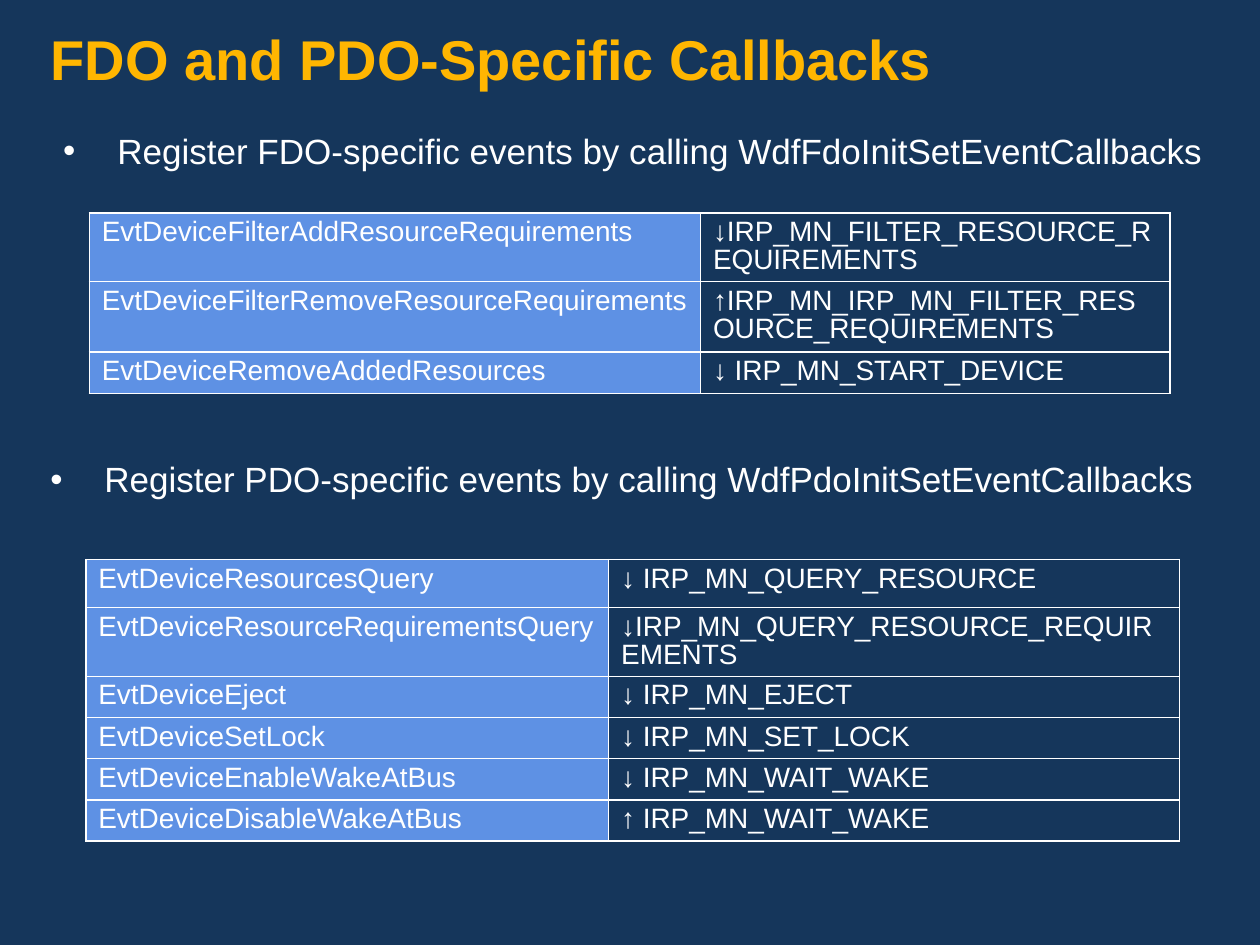
"""Build the slide on FDO and PDO-specific driver callbacks."""
from dataclasses import dataclass

from lxml import etree
from pptx import Presentation
from pptx.dml.color import RGBColor
from pptx.enum.text import MSO_ANCHOR, MSO_AUTO_SIZE, PP_ALIGN
from pptx.oxml.ns import qn
from pptx.util import Cm, Pt

TOP = MSO_ANCHOR.TOP
LEFT = PP_ALIGN.LEFT
NO_AUTOFIT = MSO_AUTO_SIZE.NONE

NAVY = "15365B"
AMBER = "FFB601"
BLUE = "5E91E4"
WHITE = "FFFFFF"
FONT = "Arial"
TWO_CONTENT_LAYOUT = 3
BULLET_INDENT = Cm(1.09)


@dataclass
class Box:
    left: float
    top: float
    width: float
    height: float


@dataclass
class CallbackTable:
    left: float
    top: float
    column_widths: list[float]
    row_heights: list[float]
    rows: list[tuple[str, str]]


@dataclass
class Section:
    heading: str
    heading_box: Box
    table: CallbackTable


SECTIONS = [
    Section(
        "Register FDO-specific events by calling WdfFdoInitSetEventCallbacks",
        Box(1.02, 2.57, 23.83, 1.02),
        CallbackTable(1.8, 4.29, [12.32, 9.47], [1.39, 1.42, 0.83], [
            ("EvtDeviceFilterAddResourceRequirements", "↓IRP_MN_FILTER_RESOURCE_REQUIREMENTS"),
            ("EvtDeviceFilterRemoveResourceRequirements",
             "↑IRP_MN_IRP_MN_FILTER_RESOURCE_REQUIREMENTS"),
            ("EvtDeviceRemoveAddedResources", "↓ IRP_MN_START_DEVICE"),
        ]),
    ),
    Section(
        "Register PDO-specific events by calling WdfPdoInitSetEventCallbacks",
        Box(0.76, 9.19, 23.85, 1.02),
        CallbackTable(1.73, 11.28, [10.54, 11.51], [0.97, 1.38] + [0.83] * 4, [
            ("EvtDeviceResourcesQuery", "↓ IRP_MN_QUERY_RESOURCE"),
            ("EvtDeviceResourceRequirementsQuery", "↓IRP_MN_QUERY_RESOURCE_REQUIREMENTS"),
            ("EvtDeviceEject", "↓ IRP_MN_EJECT"),
            ("EvtDeviceSetLock", "↓ IRP_MN_SET_LOCK"),
            ("EvtDeviceEnableWakeAtBus", "↓ IRP_MN_WAIT_WAKE"),
            ("EvtDeviceDisableWakeAtBus", "↑ IRP_MN_WAIT_WAKE"),
        ]),
    ),
]


def color(hex_value: str) -> RGBColor:
    return RGBColor.from_string(hex_value)


def write_text(text_frame, text: str, *, size: float, fill: str = WHITE,
               bold: bool = False, bullet: bool = False) -> None:
    paragraph = text_frame.paragraphs[0]
    paragraph.alignment = LEFT
    paragraph.line_spacing = 0.9
    paragraph.space_before = Pt(0)
    if bullet:
        properties = paragraph._p.get_or_add_pPr()
        properties.set("marL", str(BULLET_INDENT))
        properties.set("indent", str(-BULLET_INDENT))
        etree.SubElement(properties, qn("a:buChar"), char="•")
    run = paragraph.add_run()
    run.text = text
    run.font.name = FONT
    run.font.size = Pt(size)
    run.font.bold = bold
    run.font.color.rgb = color(fill)


def place_text(shape, box: Box, text: str, **text_format) -> None:
    shape.left, shape.top = Cm(box.left), Cm(box.top)
    shape.width, shape.height = Cm(box.width), Cm(box.height)
    text_frame = shape.text_frame
    text_frame.word_wrap = True
    text_frame.auto_size = NO_AUTOFIT
    text_frame.vertical_anchor = TOP
    write_text(text_frame, text, **text_format)


def add_borders(cell) -> None:
    properties = cell._tc.get_or_add_tcPr()
    for side in ("lnL", "lnR", "lnT", "lnB"):
        line = etree.SubElement(properties, qn(f"a:{side}"), w=str(Pt(1)))
        solid = etree.SubElement(line, qn("a:solidFill"))
        etree.SubElement(solid, qn("a:srgbClr"), val=WHITE)


def add_callback_table(slide, content: CallbackTable) -> None:
    table = slide.shapes.add_table(
        len(content.rows), len(content.column_widths),
        Cm(content.left), Cm(content.top),
        Cm(sum(content.column_widths)), Cm(sum(content.row_heights)),
    ).table
    table.first_row = table.horz_banding = False
    for column, width in zip(table.columns, content.column_widths):
        column.width = Cm(width)
    for row, height, texts in zip(table.rows, content.row_heights, content.rows):
        row.height = Cm(height)
        for cell, text, fill in zip(row.cells, texts, (BLUE, None)):
            add_borders(cell)
            if fill:
                cell.fill.solid()
                cell.fill.fore_color.rgb = color(fill)
            else:
                cell.fill.background()
            write_text(cell.text_frame, text, size=16)


def main() -> None:
    presentation = Presentation()
    presentation.slide_width, presentation.slide_height = Cm(25.4), Cm(19.05)
    slide = presentation.slides.add_slide(presentation.slide_layouts[TWO_CONTENT_LAYOUT])
    slide.background.fill.solid()
    slide.background.fill.fore_color.rgb = color(NAVY)

    title, *bodies = slide.placeholders
    place_text(title, Box(0, 0, 25.4, 1.9), "FDO and PDO-Specific Callbacks",
               size=32, fill=AMBER, bold=True)
    frame = title.text_frame
    frame.margin_left = frame.margin_right = Cm(1.02)
    frame.margin_top, frame.margin_bottom = Cm(0.64), Cm(0.13)

    for body, section in zip(bodies, SECTIONS):
        place_text(body, section.heading_box, section.heading, size=20, bullet=True)
        add_callback_table(slide, section.table)

    presentation.save("out.pptx")


if __name__ == "__main__":
    main()
